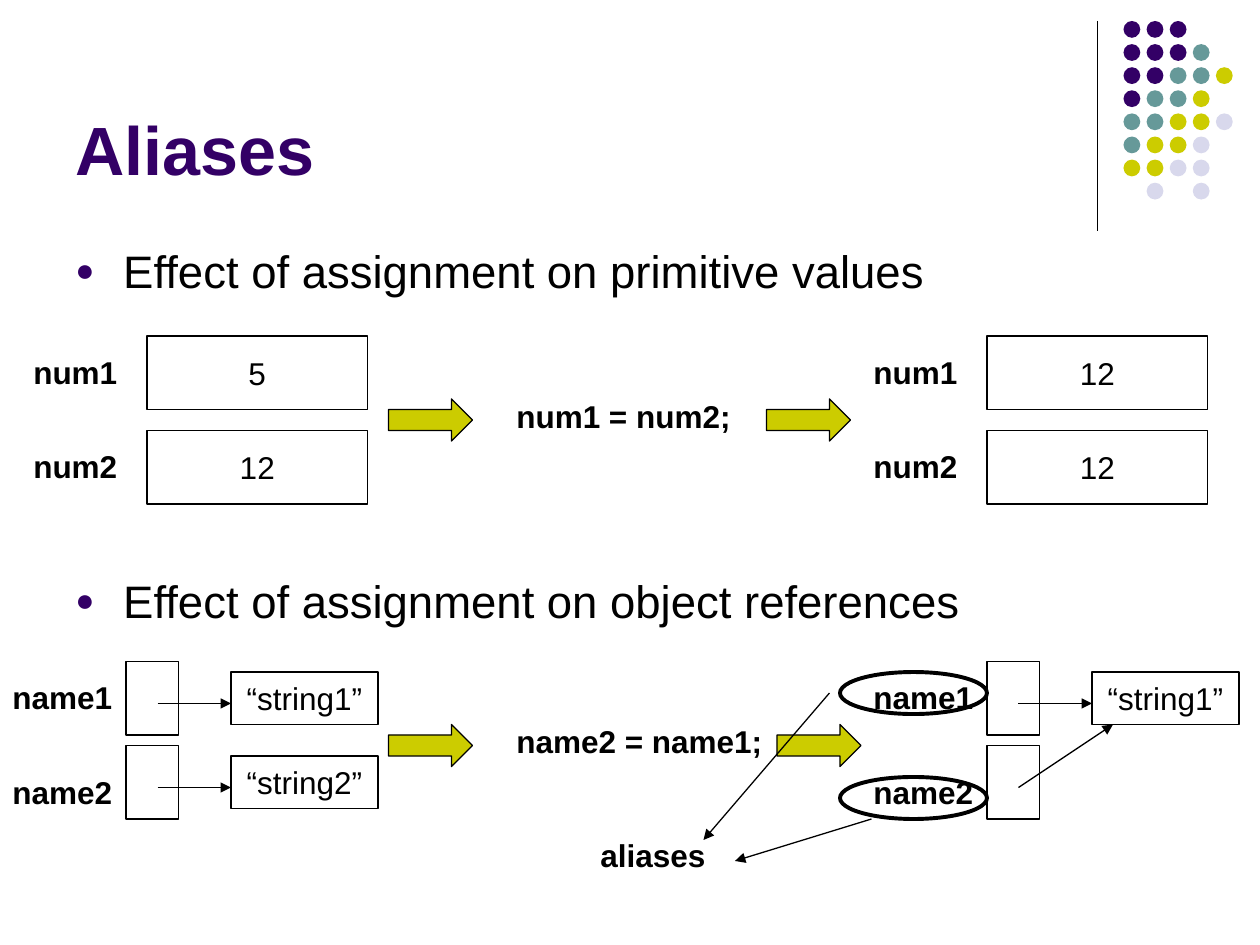
"""Build the Aliases slide on a grid of 120 columns by 90 rows."""
from pptx import Presentation
from pptx.dml.color import RGBColor
from pptx.enum.shapes import MSO_CONNECTOR as CONN, MSO_SHAPE as SHAPE
from pptx.enum.text import MSO_ANCHOR as ANCHOR, PP_ALIGN as ALIGN
from pptx.oxml import parse_xml
from pptx.oxml.ns import nsdecls
from pptx.util import Inches, Pt

PURPLE, TEAL, OLIVE, LILAC, BLACK = "330066", "669999", "CCCC00", "D8D8EC", "000000"
hx = RGBColor.from_string
prs = Presentation()
prs.slide_width, prs.slide_height = Inches(10), Inches(7.5)
U = prs.slide_width / 120
s = prs.slides.add_slide(prs.slide_layouts[6])


def shape(kind, x, y, w, h, fill=None, line=BLACK, weight=0.75):
    sp = s.shapes.add_shape(kind, *(round(v * U) for v in (x, y, w, h)))
    sp.shadow.inherit = False
    if fill:
        sp.fill.solid()
        sp.fill.fore_color.rgb = hx(fill)
    else:
        sp.fill.background()
    if line:
        sp.line.color.rgb = hx(line)
        sp.line.width = Pt(weight)
    else:
        sp.line.fill.background()
    return sp


def write(text, sp=None, at=None, size=18, color=BLACK, bold=False,
          align=ALIGN.LEFT, anchor=ANCHOR.TOP, wrap=False):
    sp = sp or s.shapes.add_textbox(*(round(v * U) for v in at))
    tf = sp.text_frame
    tf.word_wrap, tf.vertical_anchor = wrap, anchor
    for i, part in enumerate(text.split("\n")):
        p = tf.add_paragraph() if i else tf.paragraphs[0]
        p.alignment = align
        r = p.add_run()
        r.text = part
        r.font.name, r.font.size, r.font.bold = "Arial", Pt(size), bold
        r.font.color.rgb = hx(color)
    return tf


DOTS = ["PPP", "PPPT", "PPTTO", "PTTO", "TTOOL", "TOOL", "OOLL", " L L"]
INKS = {"P": PURPLE, "T": TEAL, "O": OLIVE, "L": LILAC}
for row, codes in enumerate(DOTS):
    for col, code in enumerate(codes):
        if code in INKS:
            shape(SHAPE.OVAL, 107 + 2.2 * col, 2 + 2.2 * row, 1.6, 1.6, INKS[code], None)

write("Aliases", at=(6, 1.6, 99, 17), size=39, color=PURPLE, bold=True,
      anchor=ANCHOR.BOTTOM, wrap=True)
tf = write("Effect of assignment on primitive values\n"
           "Effect of assignment on object references",
           at=(6, 22.6, 108, 57.8), size=26, wrap=True)
for p, before in zip(tf.paragraphs, (6.5, 157)):
    p.space_before = Pt(before)
    pPr = p._p.get_or_add_pPr()
    pPr.set("marL", str(Inches(0.38)))
    pPr.set("indent", str(Inches(-0.38)))
    for xml in (f'<a:buClr {nsdecls("a")}><a:srgbClr val="{PURPLE}"/></a:buClr>',
                f'<a:buSzPct {nsdecls("a")} val="70000"/>',
                f'<a:buFont {nsdecls("a")} typeface="Arial"/>',
                f'<a:buChar {nsdecls("a")} char="●"/>'):
        pPr.append(parse_xml(xml))

for x, values in ((2, ("5", "12")), (82, ("12", "12"))):
    for i, value in enumerate(values):
        y = 32 + 9 * i
        write(f"num{i + 1}", at=(x, y + 1, 11, 4.8), bold=True)
        write(value, shape(SHAPE.RECTANGLE, x + 12, y, 21, 7),
              align=ALIGN.CENTER, anchor=ANCHOR.MIDDLE)

for x, strings in ((0, ("“string1”", "“string2”")), (82, ("“string1”",))):
    for i in range(2):
        write(f"name{i + 1}", at=(x, 64 + 9 * i, 12, 4.8), bold=True)
        shape(SHAPE.RECTANGLE, x + 12, 63 + 8 * i, 5, 7)
    for i, value in enumerate(strings):
        write(value, shape(SHAPE.RECTANGLE, x + 22, 64 + 8 * i, 14, 5),
              align=ALIGN.CENTER, anchor=ANCHOR.MIDDLE)

for x, y in ((37, 38), (73, 38), (37, 69), (74, 69)):
    shape(SHAPE.RIGHT_ARROW, x, y, 8, 4, OLIVE)
write("num1 = num2;", at=(48, 37.2, 23, 4.8), bold=True)
write("name2 = name1;", at=(48, 68.2, 26, 4.8), bold=True)
for y in (64, 74):
    shape(SHAPE.OVAL, 80, y, 14, 4, weight=2.25)
write("aliases", at=(56, 79, 14.8, 4.8), bold=True, wrap=True)

LINES = [(104.5, 2, 104.5, 22, False), (15, 67, 22, 67, True), (15, 75, 22, 75, True),
         (97, 67, 104, 67, True), (97, 75, 106, 69, True),
         (79, 66, 67, 80, True), (83, 78, 70, 82, True)]
for *ends, arrow in LINES:
    c = s.shapes.add_connector(CONN.STRAIGHT, *(round(v * U) for v in ends))
    c.line.color.rgb, c.line.width = hx(BLACK), Pt(0.75)
    if arrow:
        c.line._get_or_add_ln().append(parse_xml(f'<a:tailEnd {nsdecls("a")} type="triangle"/>'))
    c._element.spPr.append(parse_xml(f'<a:effectLst {nsdecls("a")}/>'))

prs.save("out.pptx")
